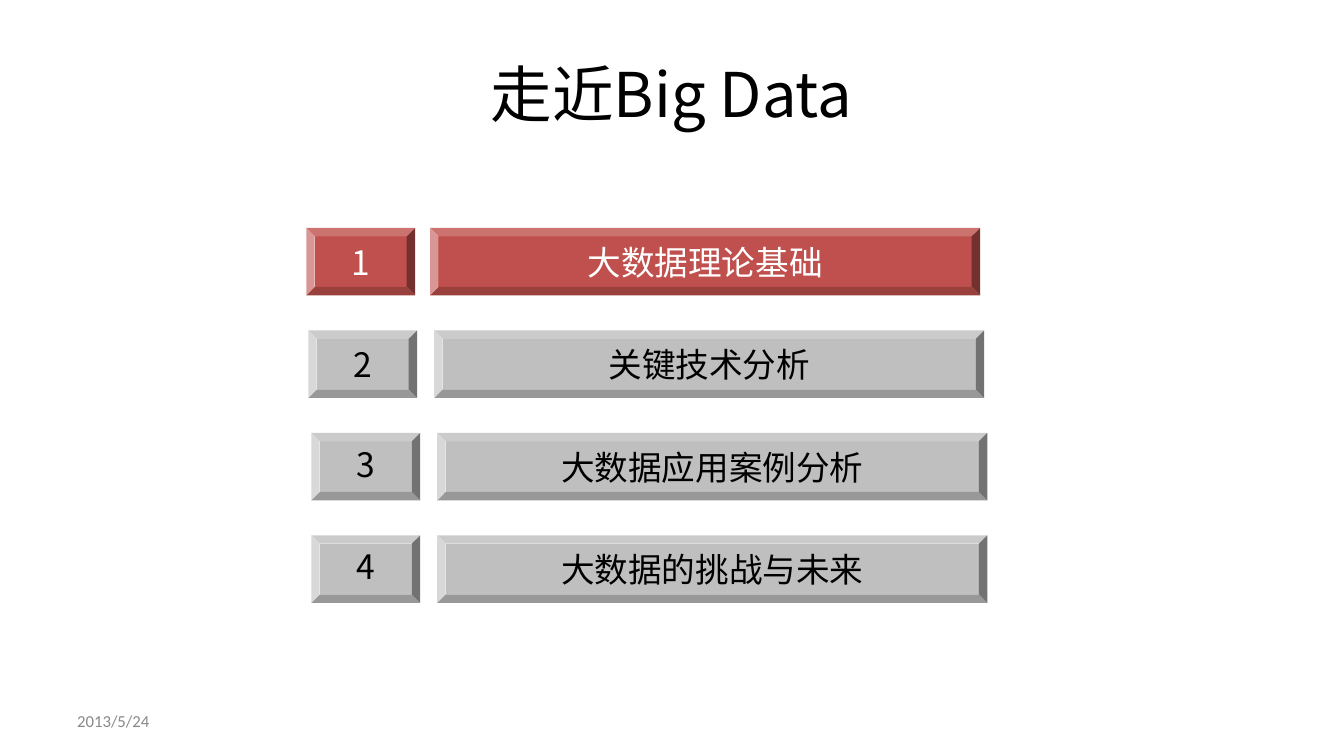
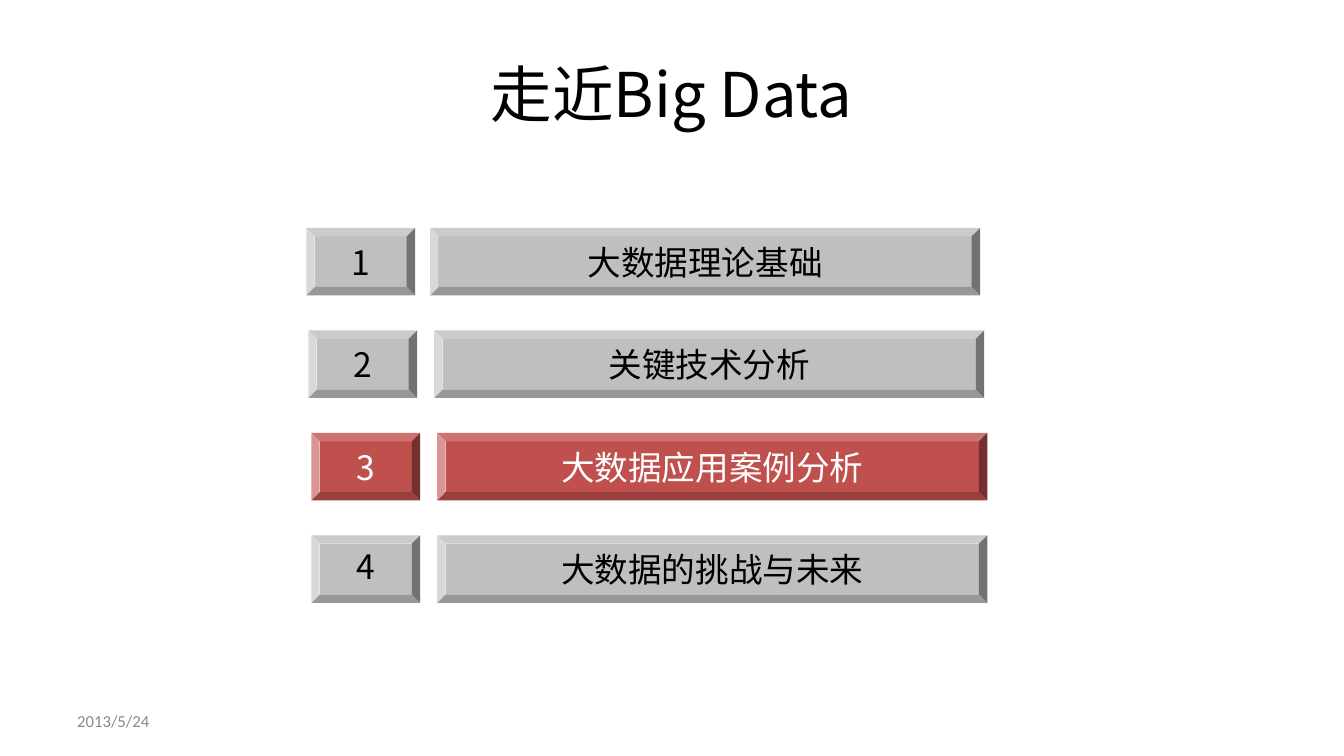
import pptx
import pptx.util
import pptx.dml.color
import pptx.enum.shapes
import pptx.enum.text
import pptx.oxml.ns
import lxml.etree

Pt = pptx.util.Pt
RGBColor = pptx.dml.color.RGBColor
ALIGN = pptx.enum.text.PP_ALIGN

RED = RGBColor(0xC0, 0x50, 0x4D)
SILVER = RGBColor(0xBF, 0xBF, 0xBF)
BLACK = RGBColor(0, 0, 0)
WHITE = RGBColor(0xFF, 0xFF, 0xFF)
FOOTER_GRAY = RGBColor(0x89, 0x89, 0x89)
CJK_FONT = "Noto Sans CJK SC"
FOOTER_FONT = "Calibri"

TITLE = "走近Big Data"
DATE = "2013/5/24"
# Topic, left of its number, left of its bar
TOPICS = [
    ("大数据理论基础", 218.9, 307.4),
    ("关键技术分析", 220.3, 310.3),
    ("大数据应用案例分析", 222.5, 312.5),
    ("大数据的挑战与未来", 222.5, 312.5),
]
FIRST_TOP, ROW_PITCH, ROW_HEIGHT = 162.8, 73.2, 48.2
NUMBER_WIDTH, BAR_WIDTH = 77.8, 393.1


def write(sp, text, size, color, align, font=CJK_FONT):
    tf = sp.text_frame
    tf.word_wrap = True
    tf.vertical_anchor = pptx.enum.text.MSO_ANCHOR.MIDDLE
    p = tf.paragraphs[0]
    p.alignment = align
    r = p.add_run()
    r.text = text
    r.font.size = Pt(size)
    r.font.name = font
    r.font.color.rgb = color
    ea = lxml.etree.SubElement(r.font._element, pptx.oxml.ns.qn("a:ea"))
    ea.set("typeface", font)
    return p


def add_label(s, box, text, size, color, align, font=CJK_FONT):
    sp = s.shapes.add_textbox(*map(Pt, box))
    write(sp, text, size, color, align, font)


def add_button(s, box, text, active):
    sp = s.shapes.add_shape(pptx.enum.shapes.MSO_SHAPE.BEVEL, *map(Pt, box))
    sp.shadow.inherit = False
    sp.fill.solid()
    sp.fill.fore_color.rgb = RED if active else SILVER
    sp.line.fill.background()
    return write(sp, text, 24, WHITE if active else BLACK, ALIGN.CENTER)


def add_agenda_slide(prs, current):
    """Add the agenda with topic number `current` highlighted."""
    s = prs.slides.add_slide(prs.slide_layouts[6])
    add_label(s, (48, 21.6, 864, 90), TITLE, 44, BLACK, ALIGN.CENTER)
    add_label(s, (48, 500.4, 224, 28.8), DATE, 12, FOOTER_GRAY, ALIGN.LEFT, FOOTER_FONT)
    for number, (topic, number_left, bar_left) in enumerate(TOPICS, 1):
        top = FIRST_TOP + (number - 1) * ROW_PITCH
        active = number == current
        add_button(s, (bar_left, top, BAR_WIDTH, ROW_HEIGHT), topic, active)
        p = add_button(s, (number_left, top, NUMBER_WIDTH, ROW_HEIGHT), str(number), active)
        if number > 2 and not active:
            p.line_spacing = 0.9


def main():
    prs = pptx.Presentation()
    prs.slide_width, prs.slide_height = Pt(960.5), Pt(540)
    for current in (1, 3):
        add_agenda_slide(prs, current)
    prs.save("out.pptx")


if __name__ == "__main__":
    main()
